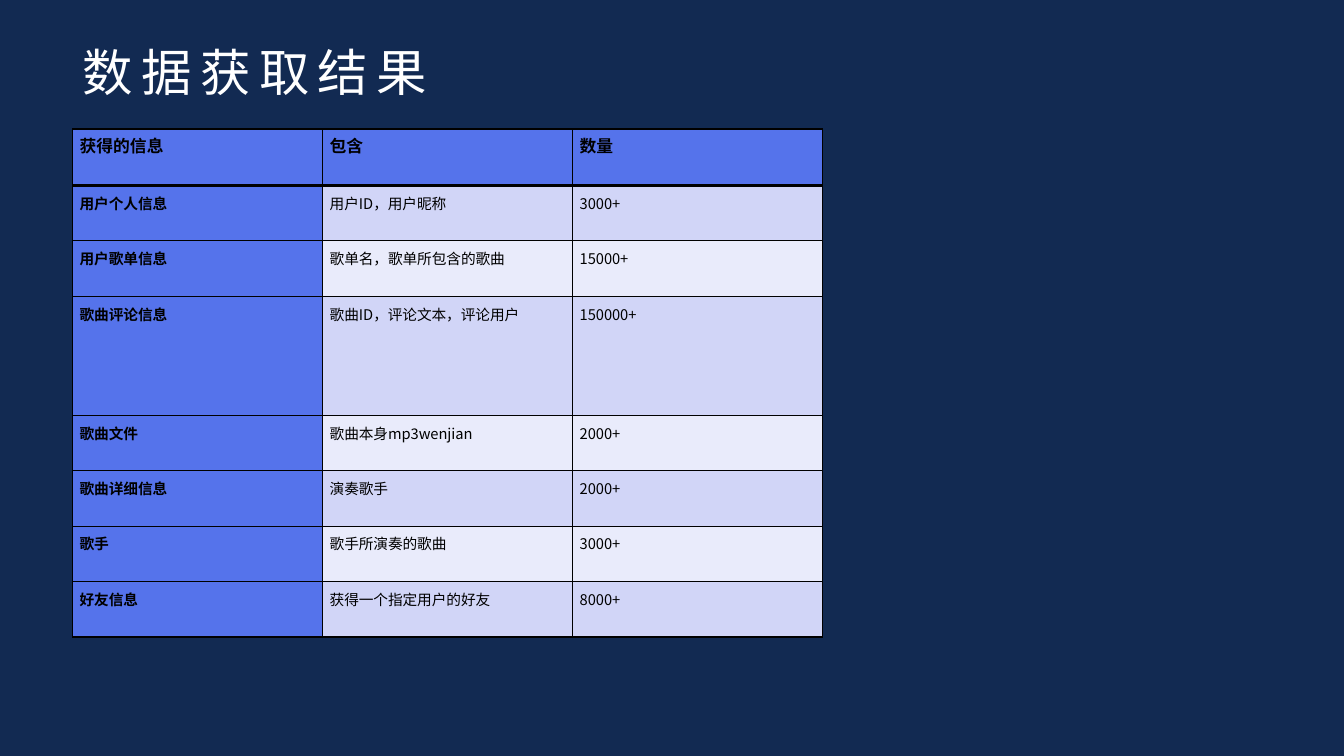
from lxml import etree
from pptx import Presentation
from pptx import util as u
from pptx.dml.color import RGBColor
from pptx.enum import text
from pptx.oxml import ns

FONT = "Noto Sans CJK SC"
COLORS = {
    "background": "122A52",
    "title": "FFFFFF",
    "ink": "000000",
    "accent": "5573EB",
    "odd": "D1D5F7",
    "even": "E9EBFB",
}
ROWS = [
    ("获得的信息", "包含", "数量"),
    ("用户个人信息", "用户ID，用户昵称", "3000+"),
    ("用户歌单信息", "歌单名，歌单所包含的歌曲", "15000+"),
    ("歌曲评论信息", "歌曲ID，评论文本，评论用户", "150000+"),
    ("歌曲文件", "歌曲本身mp3wenjian", "2000+"),
    ("歌曲详细信息", "演奏歌手", "2000+"),
    ("歌手", "歌手所演奏的歌曲", "3000+"),
    ("好友信息", "获得一个指定用户的好友", "8000+"),
]
ROW_HEIGHTS = [0.56, 0.55, 0.55, 1.18, 0.55, 0.55, 0.55, 0.55]
COLUMN_WIDTH = 2.48


def write_span(para, words, size, color, bold=False):
    span = para.add_run()
    span.text = words
    for name, value in {"size": u.Pt(size), "bold": bold, "name": FONT}.items():
        setattr(span.font, name, value)
    span.font.color.rgb = RGBColor.from_string(COLORS[color])
    props = span.font._element
    etree.SubElement(props, ns.qn("a:ea"), typeface=FONT)
    return props


def set_borders(cell, widths):
    props = cell._tc.get_or_add_tcPr()
    for place, (side, points) in enumerate(widths.items()):
        line = etree.Element(ns.qn(f"a:ln{side}"), w=str(u.Pt(points)))
        fill = etree.SubElement(line, ns.qn("a:solidFill"))
        etree.SubElement(fill, ns.qn("a:srgbClr"), val=COLORS["ink"])
        props.insert(place, line)


# Page and background
deck = Presentation()
deck.slide_width = u.Inches(13.33)
deck.slide_height = u.Inches(7.5)
page = deck.slides.add_slide(deck.slide_layouts[5])
page.background.fill.solid()
page.background.fill.fore_color.rgb = RGBColor.from_string(COLORS["background"])

# Title
title = page.shapes.title
title_place = {"left": 0.72, "top": 0.32, "width": 11.5, "height": 0.85}
for name, value in title_place.items():
    setattr(title, name, u.Inches(value))
title.text_frame.vertical_anchor = text.MSO_ANCHOR.MIDDLE
title_para = title.text_frame.paragraphs[0]
title_para.alignment = text.PP_ALIGN.LEFT
title_para.line_spacing = 0.9
write_span(title_para, "数据获取结果", 36, "title").set("spc", "600")

# Table grid
frame = page.shapes.add_table(
    len(ROWS), len(ROWS[0]), u.Inches(0.72), u.Inches(1.28),
    u.Inches(COLUMN_WIDTH * len(ROWS[0])), u.Inches(sum(ROW_HEIGHTS)))
table = frame.table
for column in table.columns:
    column.width = u.Inches(COLUMN_WIDTH)
for row, height in zip(table.rows, ROW_HEIGHTS):
    row.height = u.Inches(height)

# Table cells
cell_format = {
    "margin_left": u.Inches(0.07),
    "margin_right": u.Inches(0.07),
    "margin_top": 0,
    "margin_bottom": 0,
    "vertical_anchor": text.MSO_ANCHOR.TOP,
}
para_format = {
    "alignment": text.PP_ALIGN.JUSTIFY,
    "line_spacing": u.Pt(20),
    "space_before": u.Pt(6),
}
for r, entries in enumerate(ROWS):
    for c, words in enumerate(entries):
        cell = table.cell(r, c)
        for name, value in cell_format.items():
            setattr(cell, name, value)
        heading = r == 0 or c == 0
        shade = "accent" if heading else "odd" if r % 2 else "even"
        cell.fill.solid()
        cell.fill.fore_color.rgb = RGBColor.from_string(COLORS[shade])
        set_borders(cell, {"L": 1, "R": 1, "T": 3 if r == 1 else 1, "B": 3 if r == 0 else 1})

        para = cell.text_frame.paragraphs[0]
        for name, value in para_format.items():
            setattr(para, name, value)
        write_span(para, words, 12 if r == 0 else 10.5, "ink", heading)

deck.save("out.pptx")
